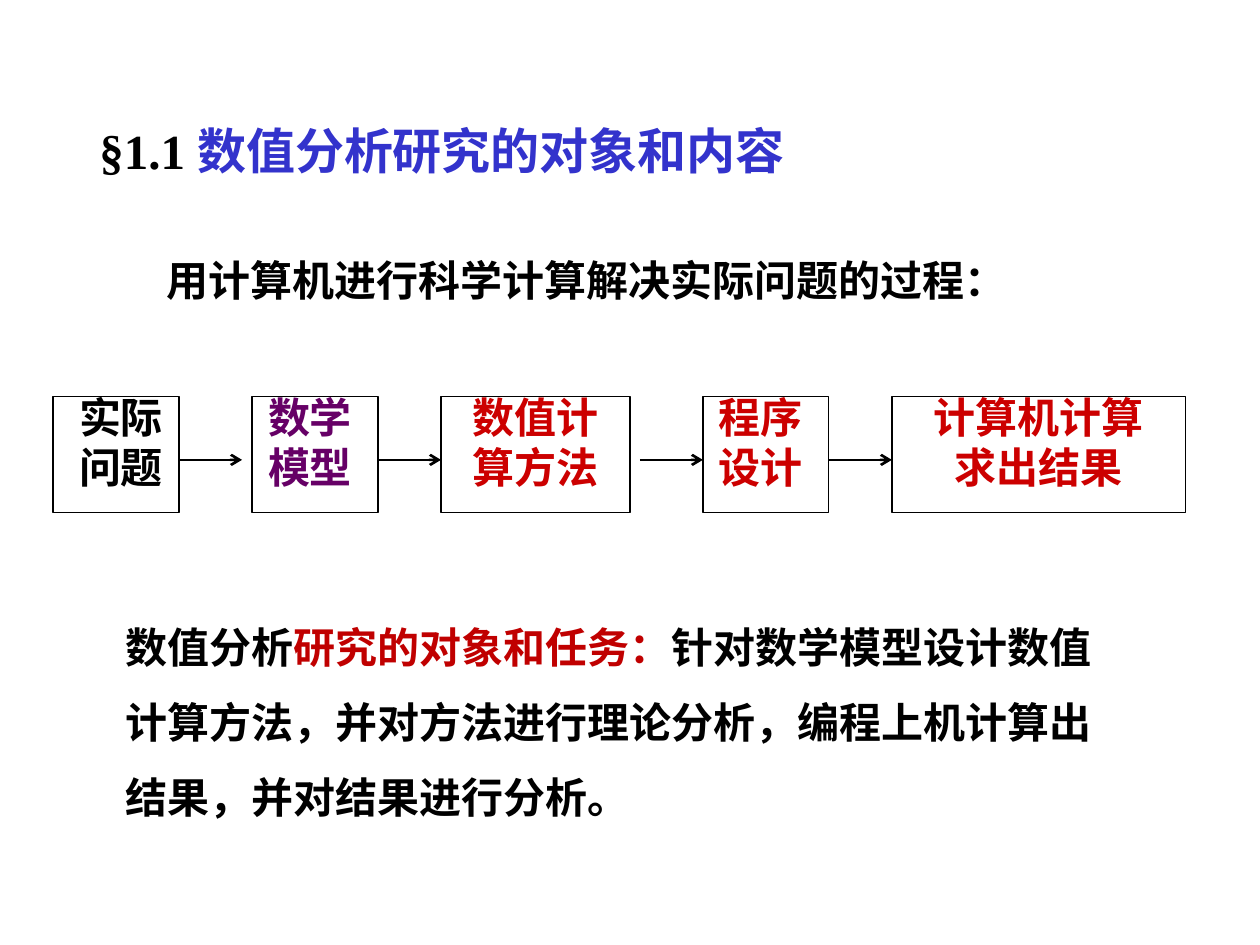
from lxml import etree
from pptx import Presentation
from pptx.dml.color import RGBColor
from pptx.enum.shapes import MSO_CONNECTOR, MSO_SHAPE
from pptx.enum.text import MSO_ANCHOR, MSO_AUTO_SIZE, PP_ALIGN
from pptx.oxml.ns import qn
from pptx.util import Cm, Pt

LEFT, CENTER = PP_ALIGN.LEFT, PP_ALIGN.CENTER
TOP = MSO_ANCHOR.TOP
NO_FIT = MSO_AUTO_SIZE.NONE
RECT = MSO_SHAPE.RECTANGLE
STRAIGHT = MSO_CONNECTOR.STRAIGHT

SERIF, SANS = "Times New Roman", "Noto Sans CJK SC"
BLACK, BLUE, PURPLE = "000000", "3333CC", "660066"
RED, DARK_RED = "CC0000", "C00000"
LINE = 28.6  # line pitch of 24 pt text, in points

# Process steps: box left, box width, label left, label width, lines, colour
STEPS = [
    (1.07, 2.54, 1.07, 2.74, ["实际问题"], BLACK),
    (5.08, 2.54, 4.88, 2.74, ["数学模型"], PURPLE),
    (8.89, 3.81, 8.89, 3.81, ["数值计算方法"], RED),
    (14.17, 2.54, 13.97, 2.74, ["程序设计"], RED),
    (17.98, 5.92, 17.98, 5.92, ["计算机计算", "求出结果"], RED),
]
ARROW_STARTS = [3.61, 7.62, 12.9, 16.71]
BOX_TOP, BOX_HEIGHT = 8, 2.34
LABEL_TOP, LABEL_HEIGHT = 7.77, 2.29
ARROW_Y, ARROW_LENGTH = 9.27, 1.27


def rgb(value):
    return RGBColor.from_string(value)


def write_paragraph(p, runs, font, size=24, align=LEFT, spacing=None):
    """Fill a paragraph with (text, colour) runs in one bold font."""
    p.alignment = align
    if spacing:
        p.line_spacing = Pt(spacing)
    p.font.size = Pt(size)
    p.font.bold = True
    p.font.name = font
    defaults = p._p.get_or_add_pPr().get_or_add_defRPr()
    etree.SubElement(defaults, qn("a:ea"), typeface=SANS)
    for text, color in runs:
        r = p.add_run()
        r.text = text
        r.font.color.rgb = rgb(color)


def add_title(s, runs):
    sp = s.shapes.title
    sp.left, sp.top, sp.width, sp.height = Cm(1.75), Cm(2.31), Cm(14.55), Cm(1.45)
    tf = sp.text_frame
    tf.word_wrap = False
    tf.auto_size = NO_FIT
    tf.vertical_anchor = TOP
    p = tf.paragraphs[0]
    write_paragraph(p, runs, SERIF, 28)
    p.runs[1].font.name = SANS


def add_text(s, left, top, width, height, paragraphs, font, align=LEFT, spacing=LINE):
    sp = s.shapes.add_textbox(Cm(left), Cm(top), Cm(width), Cm(height))
    tf = sp.text_frame
    tf.word_wrap = True
    for i, runs in enumerate(paragraphs):
        p = tf.add_paragraph() if i else tf.paragraphs[0]
        write_paragraph(p, runs, font, align=align, spacing=spacing)


def add_box(s, left, width):
    sp = s.shapes.add_shape(RECT, Cm(left), Cm(BOX_TOP), Cm(width), Cm(BOX_HEIGHT))
    sp.shadow.inherit = False
    sp.fill.background()
    sp.line.color.rgb = rgb(BLACK)
    sp.line.width = Pt(0.75)


def add_arrow(s, left):
    line = s.shapes.add_connector(
        STRAIGHT, Cm(left), Cm(ARROW_Y), Cm(left + ARROW_LENGTH), Cm(ARROW_Y))
    line.line.color.rgb = rgb(BLACK)
    line.line.width = Pt(1.5)
    etree.SubElement(line.line._get_or_add_ln(), qn("a:tailEnd"), type="arrow")
    etree.SubElement(line._element.spPr, qn("a:effectLst"))


def main():
    prs = Presentation()
    prs.slide_width, prs.slide_height = Cm(25.4), Cm(19.05)
    s = prs.slides.add_slide(prs.slide_layouts[5])

    # Heading and introduction
    add_title(s, [("§1.1 ", BLACK), ("数值分析研究的对象和内容", BLUE)])
    add_text(s, 3.1, 4.72, 18.39, 1.57,
             [[("用计算机进行科学计算解决实际问题的过程：", BLACK)]],
             SERIF, spacing=1.3 * LINE)

    # Subject and task of numerical analysis
    add_text(s, 2.29, 11.91, 20.6, 4.83,
             [[("数值分析", BLACK),
               ("研究的对象和任务：", DARK_RED),
               ("针对数学模型设计数值计算方法，并对方法进行理论分析，"
                "编程上机计算出结果，并对结果进行分析。", BLACK)]],
             SERIF, spacing=1.5 * LINE)

    # Process from problem to result
    for left, width, label_left, label_width, lines, color in STEPS:
        add_box(s, left, width)
        add_text(s, label_left, LABEL_TOP, label_width, LABEL_HEIGHT,
                 [[(text, color)] for text in lines], SANS, CENTER)
    for left in ARROW_STARTS:
        add_arrow(s, left)

    prs.save("out.pptx")


if __name__ == "__main__":
    main()
